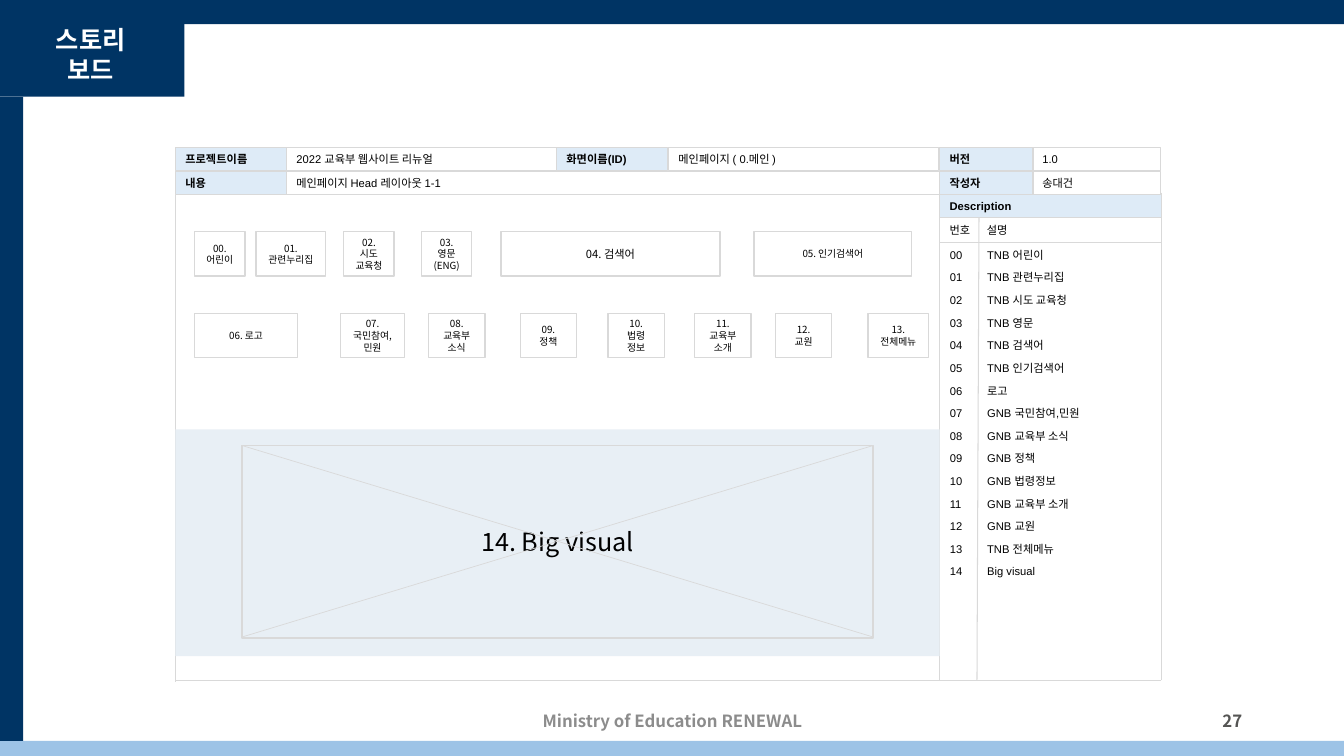
from lxml import etree
from pptx import Presentation, util as u
from pptx.dml import color
from pptx.enum import shapes, text
from pptx.oxml import ns

COLORS = {"navy": "003464", "sky": "9DC3E6", "label": "DEEBF7", "visual": "E8EFF5",
          "rule": "D9D9D9", "black": "000000", "white": "FFFFFF",
          "footer": "8C8C8C", "number": "555554"}
SANS, ARIAL = "Noto Sans CJK KR", "Arial"
LEFT, CENTER, RIGHT = text.PP_ALIGN.LEFT, text.PP_ALIGN.CENTER, text.PP_ALIGN.RIGHT
TOP, MIDDLE = text.MSO_ANCHOR.TOP, text.MSO_ANCHOR.MIDDLE


def rgb(name):
    return color.RGBColor.from_string(COLORS[name])


def write(frame, wording, font=ARIAL, size=8, ink="black", bold=False,
          align=LEFT, anchor=MIDDLE, pitch=None):
    frame.word_wrap = True
    frame.auto_size = text.MSO_AUTO_SIZE.NONE
    frame.vertical_anchor = anchor
    for index, line in enumerate(wording.split("\n")):
        paragraph = frame.paragraphs[0] if index == 0 else frame.add_paragraph()
        paragraph.alignment = align
        paragraph.space_before = u.Pt(0)
        if pitch:
            paragraph.line_spacing = pitch
        run = paragraph.add_run()
        run.text = line
        run.font.size, run.font.bold, run.font.name = u.Pt(size), bold, font
        run.font.color.rgb = rgb(ink)
        etree.SubElement(run.font._element, ns.qn("a:ea"), typeface=SANS)


class Board:
    """Draws on one slide in grid units, ten columns and ten rows to the inch."""

    def __init__(self, deck):
        self.slide = deck.slides.add_slide(deck.slide_layouts[3])
        self.cell = u.Inches(0.1)

    def grid(self, *lengths):
        return [round(length * self.cell) for length in lengths]

    def box(self, place, wording="", fill=None, line=None, **style):
        panel = self.slide.shapes.add_shape(shapes.MSO_SHAPE.RECTANGLE, *self.grid(*place))
        panel.shadow.inherit = False
        if fill:
            panel.fill.solid()
            panel.fill.fore_color.rgb = rgb(fill)
        else:
            panel.fill.background()
        if line:
            panel.line.color.rgb = rgb("rule")
            panel.line.width = u.Pt(line)
        else:
            panel.line.fill.background()
        if wording:
            write(panel.text_frame, wording, **style)

    def label(self, place, wording, **style):
        caption = self.slide.shapes.add_textbox(*self.grid(*place))
        write(caption.text_frame, wording, **style)

    def rule(self, ends, width=0.75):
        stroke = self.slide.shapes.add_connector(
            shapes.MSO_CONNECTOR.STRAIGHT, *self.grid(*ends))
        stroke.line.color.rgb = rgb("rule")
        stroke.line.width = u.Pt(width)
        etree.SubElement(stroke._element.spPr, ns.qn("a:effectLst"))

    def placeholder(self, index, place, wording, **style):
        holder = self.slide.placeholders[index]
        holder.left, holder.top, holder.width, holder.height = self.grid(*place)
        write(holder.text_frame, wording, **style)
        for paragraph in holder.text_frame.paragraphs:
            properties = paragraph._p.get_or_add_pPr()
            properties.set("marL", "0")
            properties.set("indent", "0")
            etree.SubElement(properties, ns.qn("a:buNone"))
        self.slide.shapes._spTree.append(holder._element)


def main():
    deck = Presentation()
    deck.slide_width, deck.slide_height = u.Inches(13.33), u.Inches(7.5)
    board = Board(deck)

    for place, fill in [((0, 0, 133.3, 2.4), "navy"), ((0, 73.5, 133.3, 1.5), "sky"),
                        ((0, 9.6, 2.3, 63.9), "navy"), ((0, 0, 18.3, 9.6), "navy")]:
        board.box(place, fill=fill)
    board.placeholder(0, (0, 1.9, 18, 7.1), "스토리\n보드", font=SANS, size=18,
                      ink="white", bold=True, align=CENTER, anchor=TOP)
    board.label((44.2, 69.5, 45, 4), "Ministry of Education RENEWAL", font=SANS,
                size=12, ink="footer", bold=True, align=CENTER)
    board.label((94.2, 69.5, 30, 4), "27", font=SANS, size=12, ink="number",
                bold=True, align=RIGHT)

    header = [
        (14.6, [(17.4, 11, "프로젝트이름", True), (28.4, 26.9, "2022 교육부 웹사이트 리뉴얼", False),
                (55.2, 11, "화면이름(ID)", True), (66.3, 26.8, "메인페이지 ( 0.메인 )", False),
                (93.2, 9.3, "버전", True), (102.4, 12.7, "1.0", False)]),
        (17, [(17.4, 11, "내용", True), (28.4, 64.8, "메인페이지 Head 레이아웃 1-1", False),
              (93.2, 9.3, "작성자", True), (102.4, 12.7, "송대건", False)]),
        (19.3, [(93.2, 22, "Description", True)]),
    ]
    for top, fields in header:
        for left, width, wording, named in fields:
            board.box((left, top, width, 2.3), wording, line=0.75, bold=named,
                      fill="label" if named else None)

    board.label((93.2, 21.6, 4.5, 2.4), "번호")
    board.label((96.9, 21.6, 18.3, 2.4), "설명")
    descriptions = ["TNB 어린이", "TNB 관련누리집", "TNB 시도 교육청", "TNB 영문", "TNB 검색어",
                    "TNB 인기검색어", "로고", "GNB 국민참여,민원", "GNB 교육부 소식", "GNB 정책",
                    "GNB 법령정보", "GNB 교육부 소개", "GNB 교원", "TNB 전체메뉴", "Big visual"]
    numbers = [f"{number:02}" for number in range(len(descriptions))]
    for index, left, width, entries in [(1, 93.2, 4.5, numbers), (2, 96.9, 18.3, descriptions)]:
        board.placeholder(index, (left, 23.2, width, 35), "\n".join(entries),
                          anchor=TOP, pitch=u.Pt(16.16))

    for ends in [(97.1, 21.6, 96.9, 67.5), (115.2, 19.1, 115.2, 67.5),
                 (115.2, 67.5, 17.4, 67.5), (115.2, 24.1, 93.1, 24.1),
                 (17.4, 19.3, 17.4, 67.7), (93.2, 19.1, 93.2, 67.5)]:
        board.rule(ends)

    menus = [
        (23, [(19.3, 5, "00.\n어린이"), (25.4, 6.9, "01.\n관련누리집"), (34.1, 5, "02.\n시도\n교육청"),
              (41.8, 5, "03.\n영문\n(ENG)"), (49.7, 21.7, "04. 검색어"), (74.8, 15.6, "05. 인기검색어")]),
        (31.1, [(19.3, 10.2, "06. 로고"), (33.8, 6.3, "07.\n국민참여, 민원"),
                (42.5, 5.6, "08.\n교육부 소식"), (51.6, 5.6, "09.\n정책"),
                (60.3, 5.6, "10.\n법령\n정보"), (68.9, 5.6, "11.\n교육부 소개"),
                (76.9, 5.6, "12.\n교원"), (86.1, 6, "13.\n전체메뉴")]),
    ]
    for top, items in menus:
        for left, width, wording in items:
            board.box((left, top, width, 4.4), wording, line=1, font=SANS, align=CENTER,
                      size=8 if "검색어" in wording and width > 20 else 7)

    board.box((17.4, 42.6, 75.8, 22.5), fill="visual")
    board.box((24, 44.2, 62.6, 19.1), "14. Big visual", line=1, font=SANS, size=18, align=CENTER)
    board.rule((24, 44.2, 86.6, 63.2), 0.5)
    board.rule((24, 63.2, 86.6, 44.2), 0.5)
    deck.save("out.pptx")


if __name__ == "__main__":
    main()
